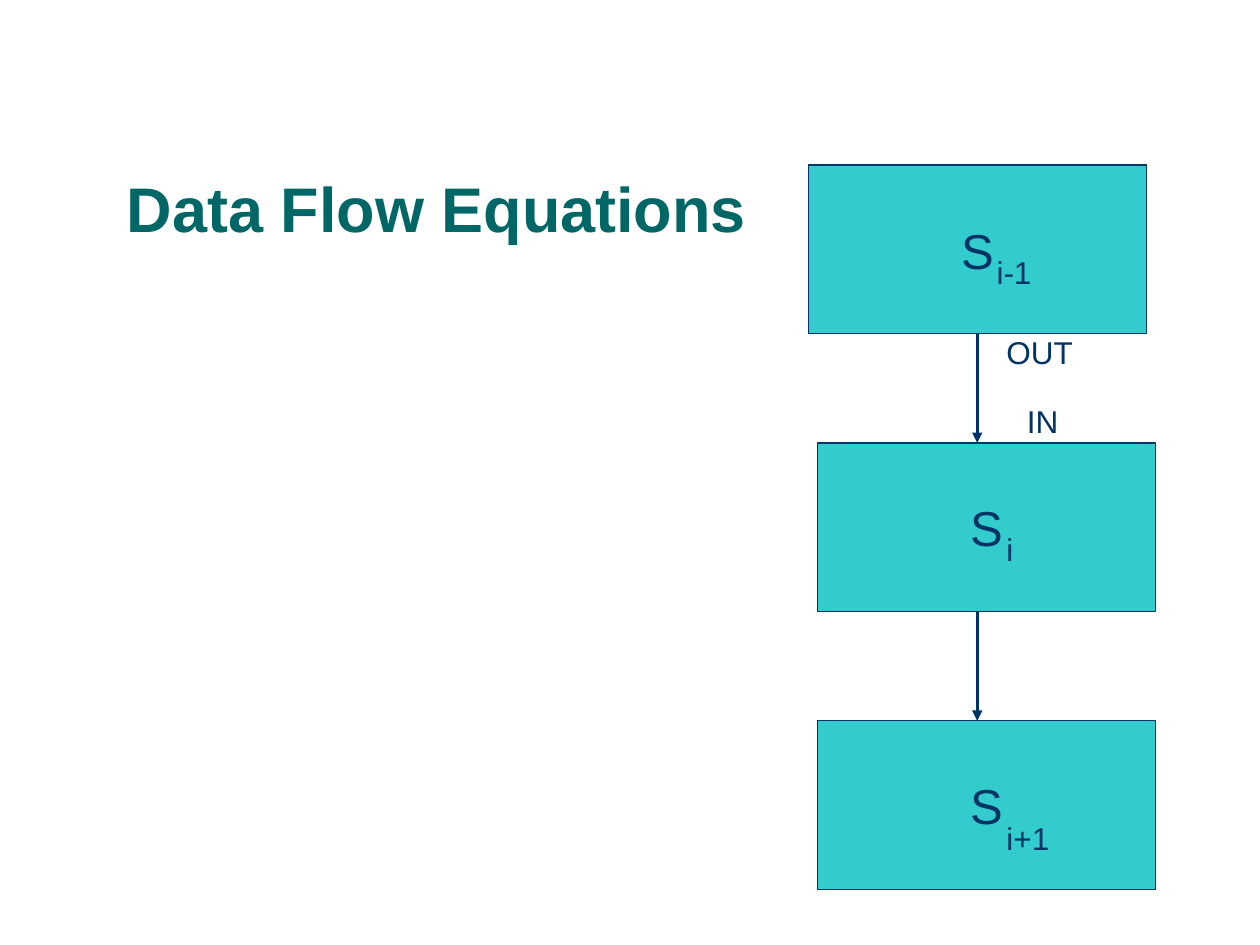
from dataclasses import dataclass
from itertools import pairwise

from lxml.etree import SubElement
from pptx import Presentation
from pptx.dml.color import RGBColor
from pptx.enum.shapes import MSO_CONNECTOR, MSO_SHAPE
from pptx.enum.text import MSO_ANCHOR, MSO_AUTO_SIZE, PP_ALIGN
from pptx.oxml.ns import qn
from pptx.slide import Slide
from pptx.text.text import TextFrame
from pptx.util import Cm, Pt


@dataclass(frozen=True)
class Theme:
    font: str = "Arial"
    title: RGBColor = RGBColor(0x00, 0x66, 0x66)
    ink: RGBColor = RGBColor(0x00, 0x33, 0x66)
    block: RGBColor = RGBColor(0x33, 0xCC, 0xCC)
    title_size: int = 36
    block_size: int = 28
    label_size: int = 18
    outline: float = 0.75
    arrow: float = 1.5


@dataclass(frozen=True)
class Block:
    left: float
    top: float


@dataclass(frozen=True)
class Label:
    text: str
    left: float
    top: float
    width: float


THEME = Theme()
BLOCK_W, BLOCK_H = 6.81, 3.4
BLOCK_TOP, BLOCK_PITCH = 3.33, 5.6
ARROW_X = 19.7
LABEL_H = 1.02

BLOCKS = [
    Block(left, BLOCK_TOP + i * BLOCK_PITCH)
    for i, left in enumerate((16.3, 16.48, 16.48))
]
LABELS = [
    Label("OUT", 20.04, 6.58, 1.85),
    Label("IN", 20.45, 7.98, 1.14),
    Label("i-1", 19.84, 4.98, 1.22),
    Label("i", 20.04, 10.57, 0.64),
    Label("i+1", 20.04, 16.38, 1.37),
]


def add_text(tf: TextFrame, text: str, size: int, color: RGBColor,
             bold: bool = False) -> None:
    r = tf.paragraphs[0].add_run()
    r.text = text
    r.font.name = THEME.font
    r.font.size = Pt(size)
    r.font.bold = bold
    r.font.color.rgb = color


def add_title(s: Slide, text: str) -> None:
    tf = s.shapes.add_textbox(Cm(2.31), Cm(2.31), Cm(21.62), Cm(2.77)).text_frame
    tf.word_wrap = True
    tf.vertical_anchor = MSO_ANCHOR.BOTTOM
    tf.paragraphs[0].line_spacing = 0.9
    add_text(tf, text, THEME.title_size, THEME.title, bold=True)


def add_block(s: Slide, block: Block) -> None:
    sp = s.shapes.add_shape(MSO_SHAPE.RECTANGLE, Cm(block.left), Cm(block.top),
                            Cm(BLOCK_W), Cm(BLOCK_H))
    sp.shadow.inherit = False
    sp.fill.solid()
    sp.fill.fore_color.rgb = THEME.block
    sp.line.color.rgb = THEME.ink
    sp.line.width = Pt(THEME.outline)
    tf = sp.text_frame
    tf.word_wrap = False
    tf.vertical_anchor = MSO_ANCHOR.MIDDLE
    tf.paragraphs[0].alignment = PP_ALIGN.CENTER
    add_text(tf, "S", THEME.block_size, THEME.ink)


def add_arrow(s: Slide, top: float, bottom: float) -> None:
    cxn = s.shapes.add_connector(MSO_CONNECTOR.STRAIGHT, Cm(ARROW_X), Cm(top),
                                 Cm(ARROW_X), Cm(bottom))
    cxn.line.color.rgb = THEME.ink
    cxn.line.width = Pt(THEME.arrow)
    SubElement(cxn.line._get_or_add_ln(), qn("a:tailEnd"), type="triangle")
    SubElement(cxn._element.spPr, qn("a:effectLst"))


def add_label(s: Slide, label: Label) -> None:
    tf = s.shapes.add_textbox(Cm(label.left), Cm(label.top),
                              Cm(label.width), Cm(LABEL_H)).text_frame
    tf.word_wrap = False
    tf.auto_size = MSO_AUTO_SIZE.SHAPE_TO_FIT_TEXT
    add_text(tf, label.text, THEME.label_size, THEME.ink)


def main() -> None:
    prs = Presentation()
    prs.slide_width, prs.slide_height = Cm(25.4), Cm(19.05)
    s = prs.slides.add_slide(prs.slide_layouts[6])
    add_title(s, "Data Flow Equations")
    for block in BLOCKS:
        add_block(s, block)
    for upper, lower in pairwise(BLOCKS):
        add_arrow(s, upper.top + BLOCK_H, lower.top)
    for label in LABELS:
        add_label(s, label)
    prs.save("out.pptx")


if __name__ == "__main__":
    main()
